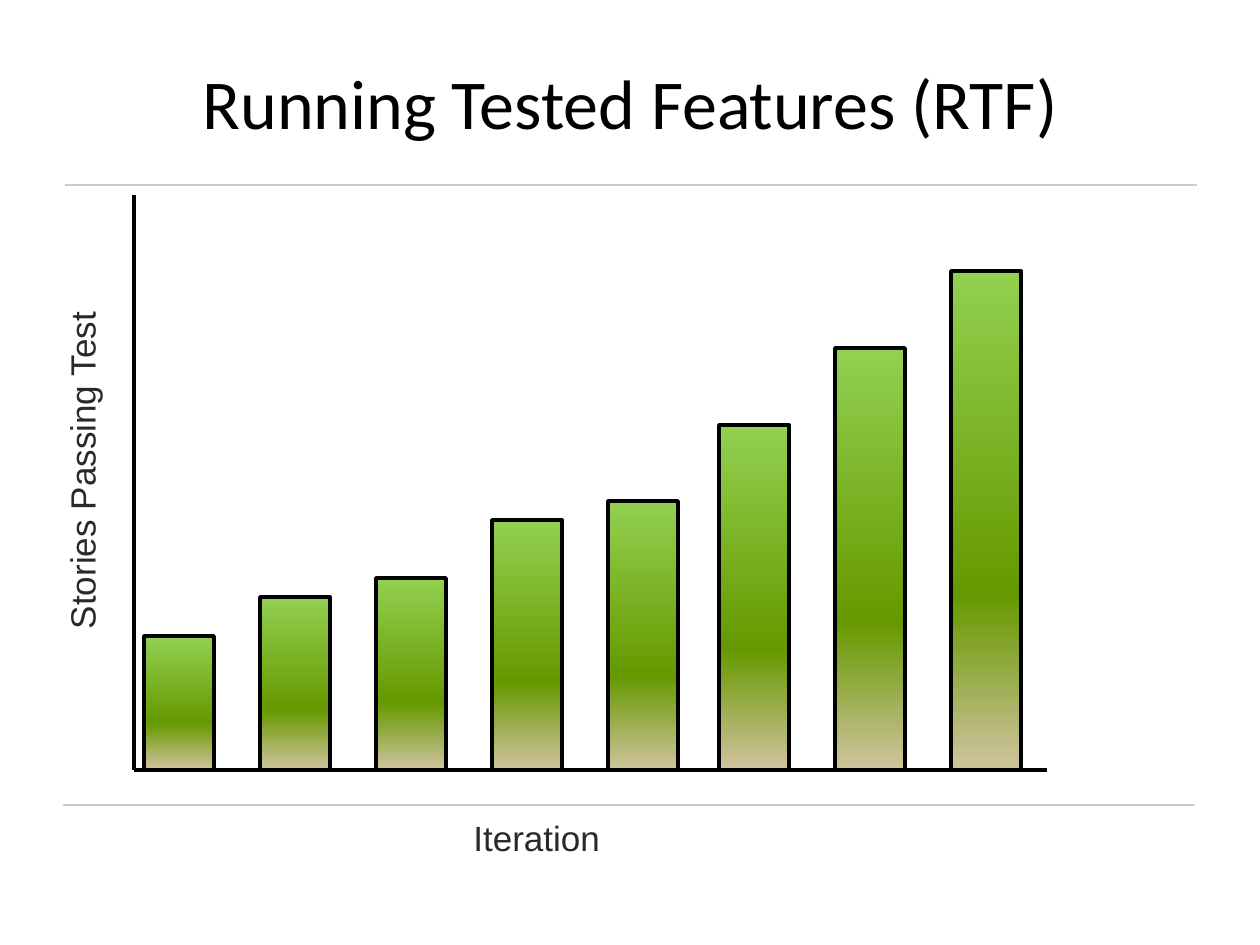
from lxml import etree
from pptx import Presentation
from pptx.dml.color import RGBColor
from pptx.enum.shapes import MSO_CONNECTOR, MSO_SHAPE
from pptx.enum.text import MSO_ANCHOR, PP_ALIGN
from pptx.oxml.ns import qn
from pptx.util import Emu, Pt

STRAIGHT = MSO_CONNECTOR.STRAIGHT
RECTANGLE = MSO_SHAPE.RECTANGLE
MIDDLE, TOP = MSO_ANCHOR.MIDDLE, MSO_ANCHOR.TOP
CENTER, LEFT = PP_ALIGN.CENTER, PP_ALIGN.LEFT

BLACK = RGBColor(0x00, 0x00, 0x00)
LABEL_GREY = RGBColor(0x29, 0x29, 0x29)
RULE_GREY = RGBColor(0xCC, 0xCC, 0xCC)
LIGHT_GREEN = RGBColor(0x92, 0xD0, 0x50)
DARK_GREEN = RGBColor(0x66, 0x99, 0x00)
SAND = RGBColor(0xD1, 0xC3, 0x9F)
BAR_GRADIENT = [(0, LIGHT_GREEN), (65, DARK_GREEN), (100, SAND)]

SCALE = 914400 / 126


def px(*lengths):
    return [Emu(round(length * SCALE)) for length in lengths]


prs = Presentation()
prs.slide_width, prs.slide_height = px(1260, 945)
slide = prs.slides.add_slide(prs.slide_layouts[6])
shapes = slide.shapes

BASELINE = 770
AXIS_X = 134
lines = [
    (63, 805, 1195, 805, RULE_GREY, 1),
    (65, 185, 1197, 185, RULE_GREY, 1),
    (AXIS_X, 195, AXIS_X, BASELINE, BLACK, 2),
    (AXIS_X, BASELINE, 1047, BASELINE, BLACK, 2),
]
for x1, y1, x2, y2, color, weight in lines:
    line = shapes.add_connector(STRAIGHT, *px(x1, y1, x2, y2))
    line.line.color.rgb = color
    line.line.width = Pt(weight)
    etree.SubElement(line._element.spPr, qn("a:effectLst"))

BAR_WIDTH = 70
bar_lefts = [144, 260, 376, 492, 608, 719, 835, 951]
bar_heights = [134, 173, 192, 250, 269, 345, 422, 499]
for left, height in zip(bar_lefts, bar_heights):
    bar = shapes.add_shape(
        RECTANGLE, *px(left, BASELINE - height, BAR_WIDTH, height)
    )
    bar.shadow.inherit = False
    bar.line.color.rgb = BLACK
    bar.line.width = Pt(2)
    bar.fill.gradient()
    bar.fill.gradient_angle = 270
    stops = bar._element.spPr.find(qn("a:gradFill")).find(qn("a:gsLst"))
    stops.clear()
    for percent, color in BAR_GRADIENT:
        stop = etree.SubElement(stops, qn("a:gs"), pos=str(percent * 1000))
        etree.SubElement(stop, qn("a:srgbClr"), val=str(color))

texts = [
    ("Running Tested Features (RTF)", (63, 38, 1134, 127), 0,
     "Calibri", 40, BLACK, CENTER, MIDDLE),
    ("Iteration", (461, 810, 218, 55), 0,
     "Arial", 20, LABEL_GREY, LEFT, TOP),
    ("Stories Passing Test", (-146, 386, 456, 55), 270,
     "Arial", 20, LABEL_GREY, LEFT, TOP),
]
for wording, place, rotation, font, size, color, align, anchor in texts:
    label = shapes.add_textbox(*px(*place))
    label.rotation = rotation
    frame = label.text_frame
    frame.word_wrap = True
    frame.vertical_anchor = anchor
    frame.text = wording
    paragraph = frame.paragraphs[0]
    paragraph.alignment = align
    paragraph.font.name = font
    paragraph.font.size = Pt(size)
    paragraph.font.color.rgb = color

prs.save("out.pptx")
